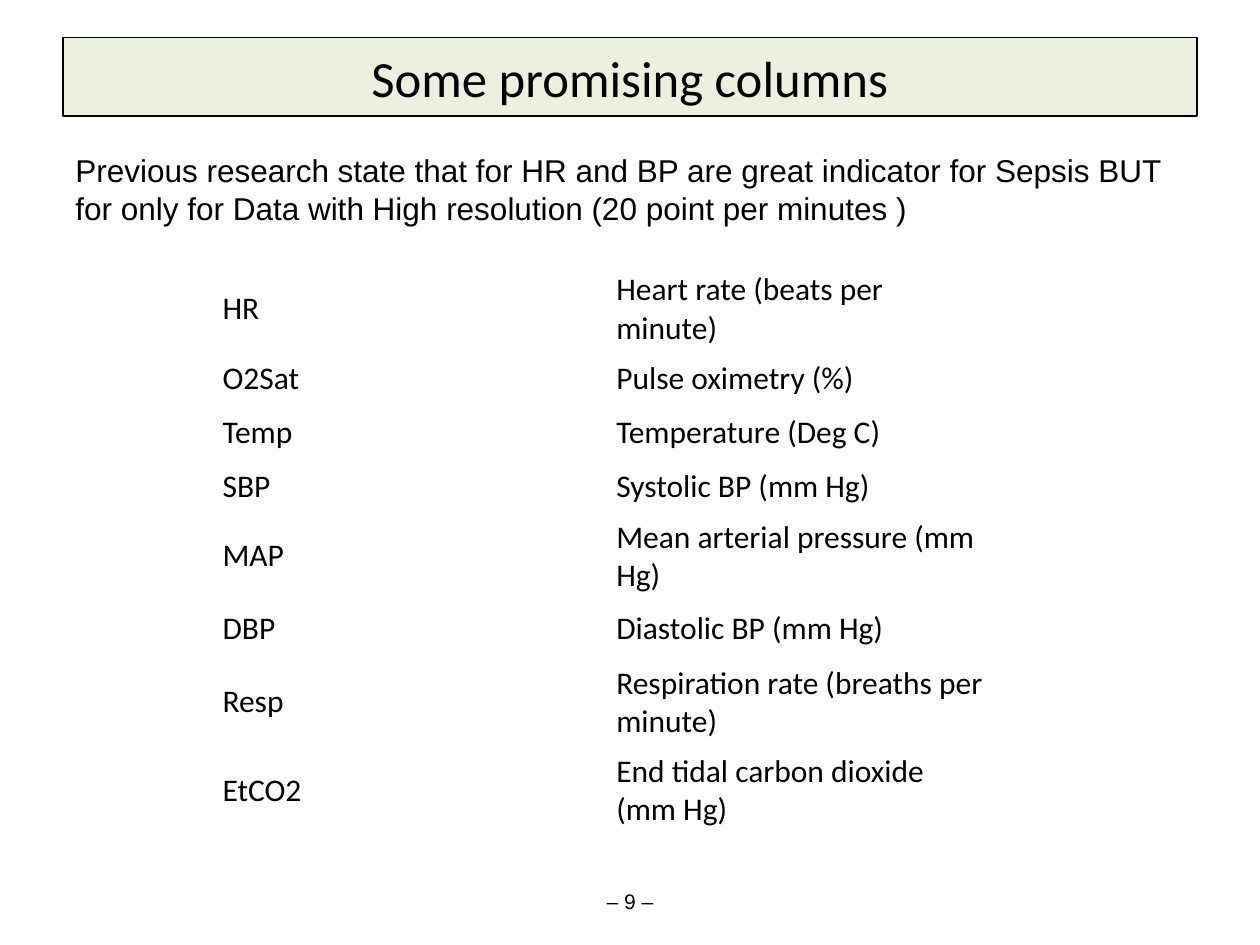
from pptx import Presentation
from pptx.dml.color import RGBColor
from pptx.enum.text import MSO_ANCHOR, MSO_AUTO_SIZE, PP_ALIGN
from pptx.util import Inches, Pt

MIDDLE, TOP = MSO_ANCHOR.MIDDLE, MSO_ANCHOR.TOP
LEFT, CENTER = PP_ALIGN.LEFT, PP_ALIGN.CENTER
NO_FIT, GROW = MSO_AUTO_SIZE.NONE, MSO_AUTO_SIZE.SHAPE_TO_FIT_TEXT

WIDE, HIGH = 10, 7.5
EDGE = 0.05 * WIDE
SPAN = WIDE - 2 * EDGE
HEAD, BODY = "Calibri", "Arial"
COLORS = {"ink": "000000", "band": "EBF1DE", "cell": "FFFFFF"}

# Row heights by the lines a description takes
ONE, MID, TWO = 0.4, 0.46, 0.7
SIGNS = [
    ("HR", "Heart rate (beats per minute)", TWO),
    ("O2Sat", "Pulse oximetry (%)", ONE),
    ("Temp", "Temperature (Deg C)", MID),
    ("SBP", "Systolic BP (mm Hg)", ONE),
    ("MAP", "Mean arterial pressure (mm Hg)", TWO),
    ("DBP", "Diastolic BP (mm Hg)", MID),
    ("Resp", "Respiration rate (breaths per minute)", TWO),
    ("EtCO2", "End tidal carbon dioxide (mm Hg)", TWO),
]


def color(name):
    return RGBColor.from_string(COLORS[name])


def paint(part, name):
    part.fill.solid()
    part.fill.fore_color.rgb = color(name)


def write(frame, text, size, font, align=LEFT):
    para = frame.paragraphs[0]
    para.alignment = align
    run = para.add_run()
    run.text = text
    run.font.size = Pt(size)
    run.font.name = font
    run.font.color.rgb = color("ink")


def add_title(slide, box, text):
    title = slide.shapes.title
    title.left, title.top, title.width, title.height = map(Inches, box)
    paint(title, "band")
    title.line.color.rgb = color("ink")
    title.line.width = Pt(0.75)
    frame = title.text_frame
    frame.auto_size = NO_FIT
    frame.vertical_anchor = MIDDLE
    write(frame, text, 29, HEAD, CENTER)


def add_text(slide, box, text, size, align=LEFT):
    frame = slide.shapes.add_textbox(*map(Inches, box)).text_frame
    frame.word_wrap = True
    frame.auto_size = GROW
    frame.vertical_anchor = TOP
    write(frame, text, size, BODY, align)


def add_signs(slide, box, signs):
    shape = slide.shapes.add_table(len(signs), 2, *map(Inches, box))
    table = shape.table
    table.first_row = table.horz_banding = False
    for col in table.columns:
        col.width = Inches(box[2] / 2)
    for row, (code, label, height) in zip(table.rows, signs):
        row.height = Inches(height)
        for cell, text in zip(row.cells, (code, label)):
            paint(cell, "cell")
            cell.vertical_anchor = MIDDLE
            write(cell.text_frame, text, 18, HEAD)


def main():
    deck = Presentation()
    deck.slide_width, deck.slide_height = Inches(WIDE), Inches(HIGH)
    slide = deck.slides.add_slide(deck.slide_layouts[5])

    # Page number
    add_text(slide, (EDGE, HIGH - 0.5, SPAN, 0.3), "– 9 –", 12, CENTER)
    # Title band
    add_title(slide, (EDGE, 0.3, SPAN, 0.62), "Some promising columns")
    # Vital signs
    tall = sum(height for _, _, height in SIGNS)
    add_signs(slide, (WIDE / 6, 2.1, WIDE * 5 / 8, tall), SIGNS)
    # Finding from earlier work
    add_text(slide, (EDGE, 1.15, SPAN, 0.7),
             "Previous research state that for HR and BP are great indicator "
             "for Sepsis BUT for only for Data with High resolution "
             "(20 point per minutes )", 18)

    deck.save("out.pptx")


if __name__ == "__main__":
    main()
